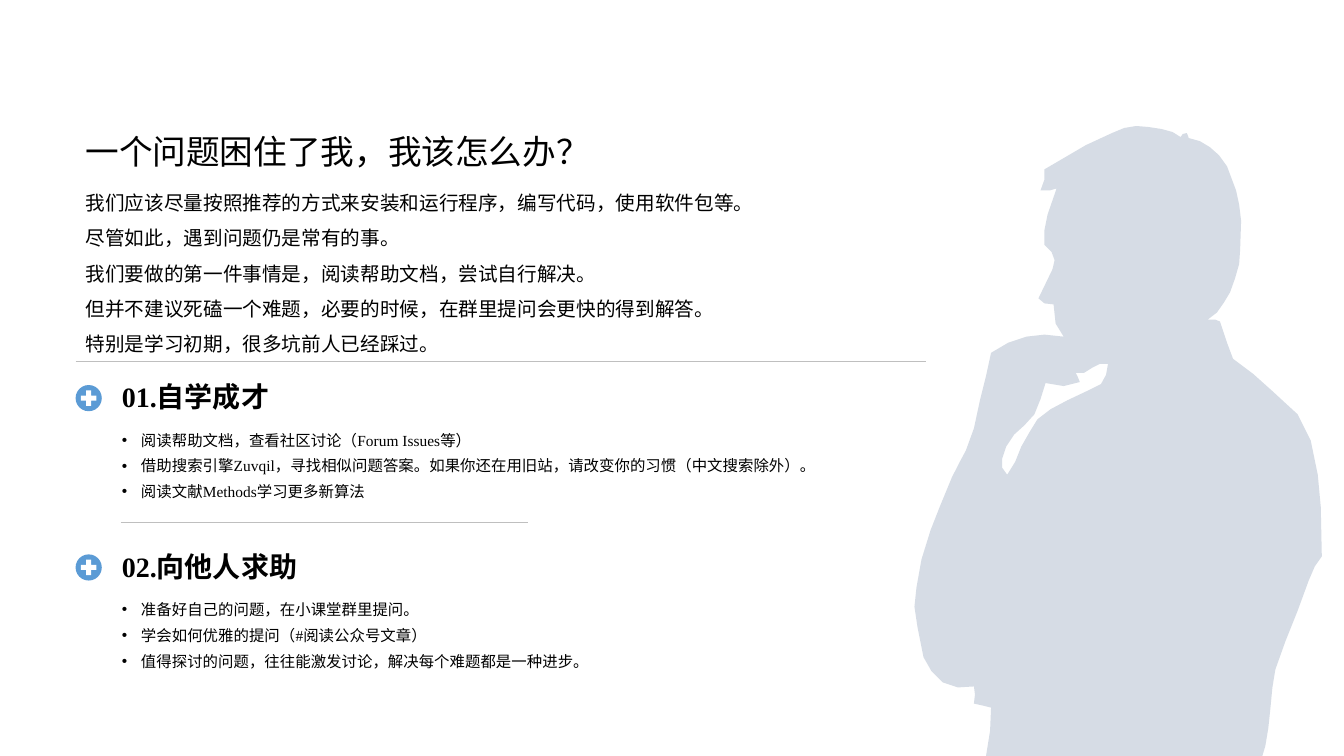
from lxml import etree
from pptx import Presentation
from pptx.dml.color import RGBColor
from pptx.enum.shapes import MSO_CONNECTOR, MSO_SHAPE
from pptx.enum.text import MSO_ANCHOR
from pptx.oxml.ns import qn
from pptx.util import Inches, Pt

LINE = MSO_CONNECTOR.STRAIGHT
OVAL = MSO_SHAPE.OVAL
PLUS = MSO_SHAPE.MATH_PLUS
TOP = MSO_ANCHOR.TOP
LOW = MSO_ANCHOR.BOTTOM
FONT = "Times New Roman"

BODY = [
    (59, 556), (60, 564), (59, 573), (68, 575), (76, 577), (75, 600),
    (71, 625), (345, 625), (348, 615), (351, 597), (353, 578), (355, 557),
    (358, 539), (368, 511), (380, 481), (391, 451), (397, 437), (404, 427),
    (403, 378), (400, 346), (393, 312), (380, 286), (368, 275), (355, 263),
    (336, 246), (316, 231), (310, 215), (303, 194), (298, 192), (291, 192),
    (300, 185), (307, 175), (313, 165), (318, 151), (322, 137), (323, 123),
    (324, 94), (322, 78), (319, 64), (310, 40), (302, 29), (293, 21),
    (283, 15), (272, 12), (271, 9), (270, 7), (266, 8), (264, 11),
    (256, 6), (245, 3), (232, 1), (220, 0), (208, 2), (196, 7), (170, 19),
    (129, 43), (129, 53), (125, 64), (134, 64), (141, 62), (132, 88),
    (129, 103), (129, 118), (136, 125), (139, 133), (137, 142), (123, 171),
    (129, 176), (138, 177), (140, 196), (148, 209), (129, 207), (111, 209),
    (93, 215), (76, 225), (71, 248), (65, 272), (59, 300), (51, 322),
    (44, 335), (37, 349), (25, 378), (16, 401), (7, 430), (2, 458),
    (0, 477), (3, 497), (9, 527), (17, 541), (28, 552), (43, 557),
]
ARM = [
    (99, 306), (109, 297), (119, 286), (125, 271), (130, 255), (148, 258),
    (164, 254), (162, 249), (160, 245), (168, 245), (176, 240), (184, 236),
    (192, 236), (190, 247), (185, 256), (171, 263), (152, 272), (135, 281),
    (122, 291), (114, 304), (106, 318), (100, 333), (92, 346), (87, 339),
    (87, 330), (91, 318),
]

TITLE = "一个问题困住了我，我该怎么办？"
INTRO = [
    "我们应该尽量按照推荐的方式来安装和运行程序，编写代码，使用软件包等。",
    "尽管如此，遇到问题仍是常有的事。",
    "我们要做的第一件事情是，阅读帮助文档，尝试自行解决。",
    "但并不建议死磕一个难题，必要的时候，在群里提问会更快的得到解答。",
    "特别是学习初期，很多坑前人已经踩过。",
]
STEPS = [
    ("01.自学成才", [
        "阅读帮助文档，查看社区讨论（Forum Issues等）",
        "借助搜索引擎Zuvqil，寻找相似问题答案。如果你还在用旧站，请改变你的习惯（中文搜索除外）。",
        "阅读文献Methods学习更多新算法",
    ]),
    ("02.向他人求助", [
        "准备好自己的问题，在小课堂群里提问。",
        "学会如何优雅的提问（#阅读公众号文章）",
        "值得探讨的问题，往往能激发讨论，解决每个难题都是一种进步。",
    ]),
]


def paint(shape, hue):
    """Fill a shape with a flat colour and drop its line and shadow."""
    shape.shadow.inherit = False
    shape.fill.solid()
    shape.fill.fore_color.rgb = RGBColor.from_string(hue)
    shape.line.fill.background()


def write(slide, lines, x, y, w, h, size=11, bold=False, space=1.0,
          anchor=TOP, dots=False):
    """Add a text box with one paragraph for each line."""
    frame = slide.shapes.add_textbox(
        Inches(x), Inches(y), Inches(w), Inches(h)).text_frame
    frame.word_wrap = True
    frame.vertical_anchor = anchor
    for i, line in enumerate(lines):
        para = frame.add_paragraph() if i else frame.paragraphs[0]
        para.line_spacing = space
        if dots:
            props = para._p.get_or_add_pPr()
            props.set("marL", str(Inches(0.19)))
            props.set("indent", str(-Inches(0.19)))
            etree.SubElement(props, qn("a:buFont")).set("typeface", "Arial")
            etree.SubElement(props, qn("a:buChar")).set("char", "•")
        run = para.add_run()
        run.text = line
        run.font.name = FONT
        run.font.size = Pt(size)
        run.font.bold = bold
        run.font.color.rgb = RGBColor.from_string("000000")


def rule(slide, x, y, w):
    """Draw a thin grey line across the given width."""
    line = slide.shapes.add_connector(
        LINE, Inches(x), Inches(y), Inches(x + w), Inches(y))
    line.line.color.rgb = RGBColor.from_string("BFBFBF")
    line.line.width = Pt(0.25)
    etree.SubElement(line._element.spPr, qn("a:effectLst"))


def thinker(slide, x, y):
    """Draw the outline of a thinking man with the gap under his arm."""
    pen = slide.shapes.build_freeform(*BODY[0], scale=Inches(0.01))
    pen.add_line_segments(BODY[1:])
    pen.move_to(*ARM[0])
    pen.add_line_segments(ARM[1:])
    paint(pen.convert_to_shape(Inches(x), Inches(y)), "D6DCE5")


def badge(slide, x, y, size):
    """Draw a blue disc with a white plus in its middle."""
    gap = size * 0.1
    for kind, pad, hue in ((OVAL, 0, "5B9BD5"), (PLUS, gap, "FFFFFF")):
        side = Inches(size - 2 * pad)
        mark = slide.shapes.add_shape(
            kind, Inches(x + pad), Inches(y + pad), side, side)
        paint(mark, hue)


def intro(slide, x, y, w):
    """Place the question, the advice and the line below them."""
    write(slide, [TITLE], x, y, w, 0.48, size=24)
    write(slide, INTRO, x, y + 0.48, w, 1.96, size=14, space=1.5)
    rule(slide, x, y + 2.33, w + 0.35)


def step(slide, x, y, w, head, notes):
    """Place one numbered step with its badge and bullets."""
    left, wide = x + 0.36, w - 0.35
    badge(slide, x, y + 0.15, 0.26)
    write(slide, [head], left, y, wide, 0.48, size=20, bold=True, anchor=LOW)
    write(slide, notes, left, y + 0.48, wide, 0.89, space=1.4, dots=True)


def main():
    """Build the slide and save it."""
    deck = Presentation()
    deck.slide_width, deck.slide_height = Inches(13.33), Inches(7.5)
    slide = deck.slides.add_slide(deck.slide_layouts[6])
    x, w = 0.75, 8.08
    thinker(slide, 9.07, 1.25)
    intro(slide, x, 1.25, w)
    for i, (head, notes) in enumerate(STEPS):
        step(slide, x, 3.67 + 1.68 * i, w, head, notes)
    rule(slide, x + 0.45, 5.18, 4.04)
    deck.save("out.pptx")


if __name__ == "__main__":
    main()
